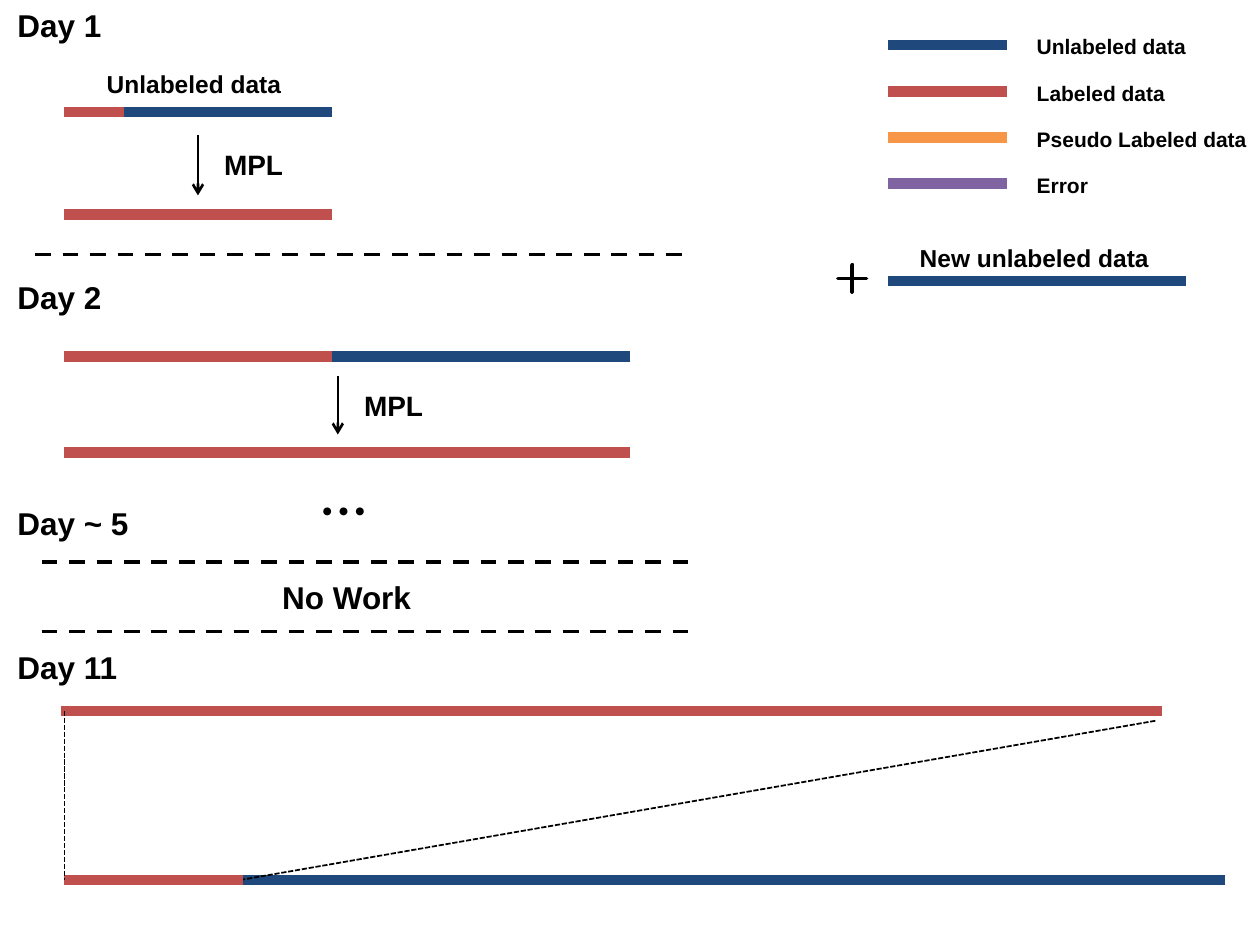
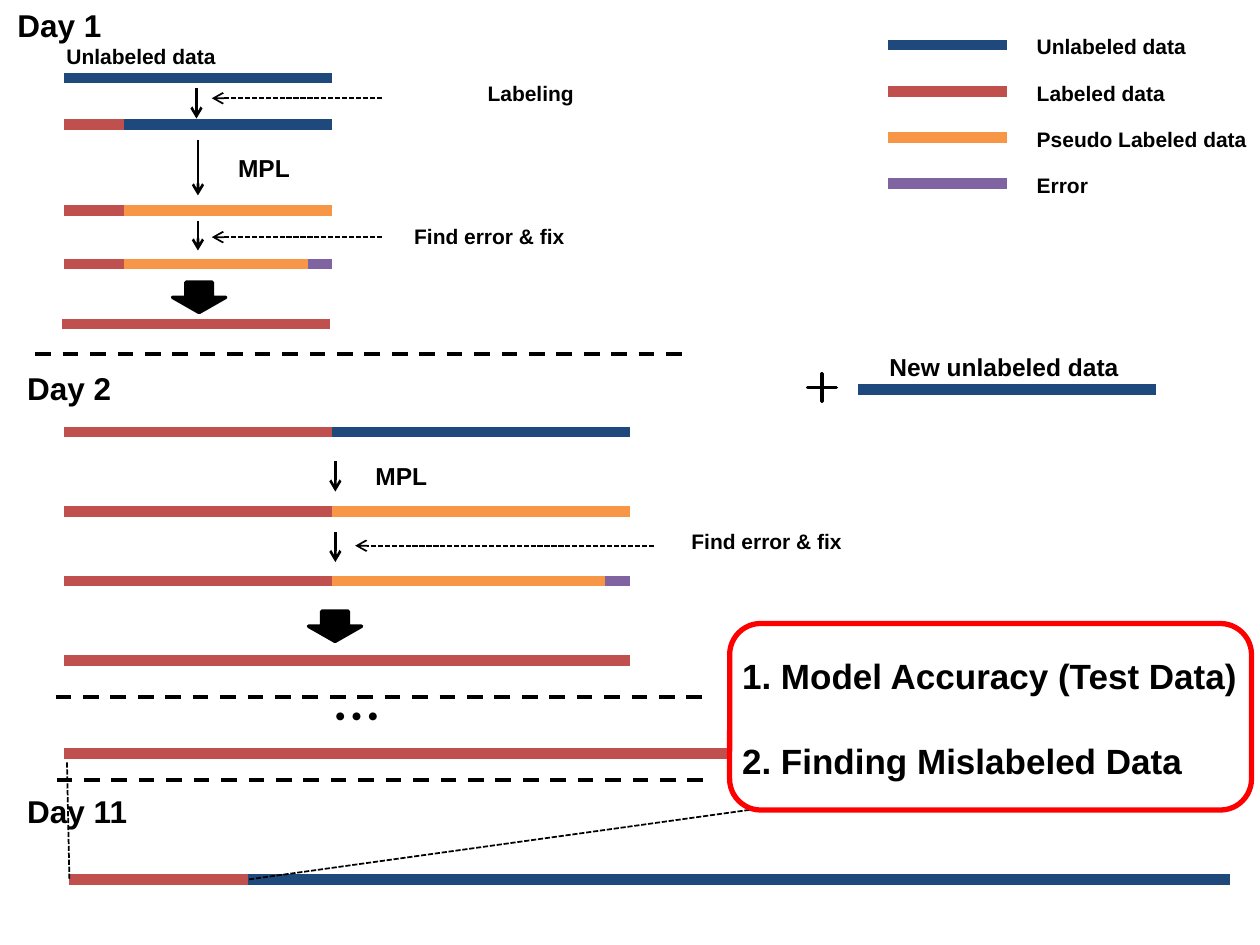
from lxml import etree
from pptx import Presentation
from pptx.dml.color import RGBColor
from pptx.enum.dml import MSO_LINE
from pptx.enum.shapes import MSO_CONNECTOR, MSO_SHAPE
from pptx.oxml.ns import qn
from pptx.util import Cm, Pt

STRAIGHT = MSO_CONNECTOR.STRAIGHT
PLUS, DOWN, ROUNDED = MSO_SHAPE.CROSS, MSO_SHAPE.DOWN_ARROW, MSO_SHAPE.ROUNDED_RECTANGLE
DASH, SYS_DASH = MSO_LINE.DASH, MSO_LINE.SQUARE_DOT


class Theme:
    unlabeled, labeled, pseudo, error = "1F497D", "C0504D", "F79646", "8064A2"
    ink, paper, accent = "000000", "FFFFFF", "FF0000"
    font, dots_font = "Arial", "Noto Sans CJK KR"
    dots, goal, day, step, label, note = 28, 20, 18, 16, 14, 12
    bar, divider, outline, arrow, guide = 6, 2.25, 2, 1.5, 1


T = Theme
U, L, P, E = T.unlabeled, T.labeled, T.pseudo, T.error
LEFT, SEED, DAY1, DAY2 = 1.3, 2.49, 6.7, 12.7  # where the data bars start and end
DIVIDER_LENGTH = 13.21

LEGEND = [("Unlabeled data", U), ("Labeled data", L),
          ("Pseudo Labeled data", P), ("Error", E)]

# All positions are in cm.
# bars: y, start, [(colour, end), ...]   dividers: x, y   arrows: x, top, bottom
# guides: from x, y to x, y   hints: from x to x, y   texts: text, x, y, size
SLIDES = [
    dict(
        bars=[
            (2.26, LEFT, [(L, SEED), (U, DAY1)]),
            (4.32, LEFT, [(L, DAY1)]),
            (7.19, LEFT, [(L, DAY1), (U, DAY2)]),
            (9.12, LEFT, [(L, DAY2)]),
            (14.33, 1.22, [(L, 23.42)]),
            (17.74, LEFT, [(L, 4.9), (U, 24.69)]),
        ],
        dividers=[(0.71, 5.13), (0.84, 11.33), (0.84, 12.73)],
        guides=[(23.29, 14.53, 4.9, 17.73), (LEFT, 14.33, LEFT, 17.73)],
        arrows=[(3.99, 2.72, 3.94), (6.81, 7.57, 8.76)],
        hints=[],
        block_arrows=[],
        new_data=(17.91, 5.66),
        texts=[
            ("Day 1", 0.1, 0, T.day),
            ("Unlabeled data", 1.9, 1.27, T.label),
            ("MPL", 4.27, 2.84, T.step),
            ("Day 2", 0.1, 5.49, T.day),
            ("MPL", 7.09, 7.7, T.step),
            ("…", 6.2, 9.58, T.dots),
            ("Day ~ 5", 0.1, 10.03, T.day),
            ("No Work", 5.44, 11.53, T.day),
            ("Day 11", 0.1, 12.93, T.day),
        ],
        goals=[],
    ),
    dict(
        bars=[
            (1.57, LEFT, [(U, DAY1)]),
            (2.51, LEFT, [(L, SEED), (U, DAY1)]),
            (4.24, LEFT, [(L, SEED), (P, DAY1)]),
            (5.32, LEFT, [(L, SEED), (P, 6.2), (E, DAY1)]),
            (6.53, 1.24, [(L, 6.65)]),
            (8.71, LEFT, [(L, DAY1), (U, DAY2)]),
            (10.31, LEFT, [(L, DAY1), (P, DAY2)]),
            (11.71, LEFT, [(L, DAY1), (P, 12.19), (E, DAY2)]),
            (13.31, LEFT, [(L, DAY2)]),
            (15.19, LEFT, [(L, 23.29)]),
            (17.73, 1.4, [(L, 5), (U, 24.79)]),
        ],
        dividers=[(0.71, 7.14), (1.12, 14.05), (1.14, 15.72)],
        guides=[(23.29, 15.19, 5, 17.73), (1.35, 15.37, 1.4, 17.73)],
        arrows=[(3.96, 1.78, 2.39), (3.99, 2.82, 3.94), (3.99, 4.45, 5.05),
                (6.76, 9.3, 9.91), (6.76, 10.72, 11.33)],
        hints=[(7.7, 4.27, 1.98), (7.7, 4.27, 4.78), (13.18, 7.16, 11)],
        block_arrows=[(3.48, 5.69), (6.22, 12.32)],
        new_data=(17.3, 7.85),
        texts=[
            ("Day 1", 0.1, 0, T.day),
            ("Unlabeled data", 1.09, 0.76, T.note),
            ("Labeling", 9.58, 1.5, T.note),
            ("MPL", 4.55, 2.97, T.label),
            ("Find error & fix", 8.1, 4.39, T.note),
            ("Day 2", 0.3, 7.32, T.day),
            ("MPL", 7.32, 9.17, T.label),
            ("Find error & fix", 13.69, 10.54, T.note),
            ("…", 6.45, 13.72, T.dots),
            ("Day 11", 0.3, 15.85, T.day),
        ],
        goals=["1. Model Accuracy (Test Data)", "2. Finding Mislabeled Data"],
    ),
]


def add_line(slide, x1, y1, x2, y2, width, color=T.ink, dash=None, head=False):
    sp = slide.shapes.add_connector(STRAIGHT, Cm(x1), Cm(y1), Cm(x2), Cm(y2))
    sp.line.color.rgb = RGBColor.from_string(color)
    sp.line.width = Pt(width)
    if dash:
        sp.line.dash_style = dash
    props = sp.element.spPr
    if head:
        etree.SubElement(props.find(qn("a:ln")), qn("a:tailEnd"), type="arrow")
    etree.SubElement(props, qn("a:effectLst"))


def add_bar(slide, y, start, segments):
    for color, end in segments:
        add_line(slide, start, y, end, y, T.bar, color)
        start = end


def add_shape(slide, kind, x, y, w, h, fill=T.ink, line=T.ink, width=T.outline):
    sp = slide.shapes.add_shape(kind, Cm(x), Cm(y), Cm(w), Cm(h))
    sp.shadow.inherit = False
    sp.fill.solid()
    sp.fill.fore_color.rgb = RGBColor.from_string(fill)
    sp.line.color.rgb = RGBColor.from_string(line)
    sp.line.width = Pt(width)
    return sp


def add_text(slide, text, x, y, size):
    """Add a bold one-line label in a box sized from its text."""
    w, h = len(text) * size * 0.018 + 1, size * 0.042 + 0.25
    tf = slide.shapes.add_textbox(Cm(x), Cm(y), Cm(w), Cm(h)).text_frame
    tf.word_wrap = True
    r = tf.paragraphs[0].add_run()
    r.text = text
    name = T.dots_font if size == T.dots else T.font
    for key, value in dict(name=name, size=Pt(size), bold=True).items():
        setattr(r.font, key, value)
    r.font.color.rgb = RGBColor.from_string(T.ink)
    etree.SubElement(r.font._element, qn("a:ea"), typeface=name)


def add_legend(slide):
    for i, (text, color) in enumerate(LEGEND):
        y = 0.91 + 0.93 * i
        add_bar(slide, y, 17.91, [(color, 20.29)])
        add_text(slide, text, 20.65, y - 0.35, T.note)


def add_new_data(slide, x, y):
    add_bar(slide, y, x, [(U, x + 6)])
    add_text(slide, "New unlabeled data", x + 0.38, y - 0.88, T.label)
    plus = add_shape(slide, PLUS, x - 1.02, y - 0.32, 0.58, 0.56)
    plus.adjustments[0] = 0.5


def add_goals(slide, goals):
    add_shape(slide, ROUNDED, 14.71, 12.57, 10.52, 3.76, T.paper, T.accent, 3)
    for i, goal in enumerate(goals):
        add_text(slide, goal, 14.71, 13.06 + 1.72 * i, T.goal)


def build_slide(prs, data):
    slide = prs.slides.add_slide(prs.slide_layouts[6])
    for bar in data["bars"]:
        add_bar(slide, *bar)
    for guide in data["guides"]:
        add_line(slide, *guide, T.guide, dash=SYS_DASH)
    for x, y in data["dividers"]:
        add_line(slide, x, y, x + DIVIDER_LENGTH, y, T.divider, dash=DASH)
    for x, top, bottom in data["arrows"]:
        add_line(slide, x, top, x, bottom, T.arrow, head=True)
    for start, end, y in data["hints"]:
        add_line(slide, start, y, end, y, T.guide, dash=SYS_DASH, head=True)
    for x, y in data["block_arrows"]:
        add_shape(slide, DOWN, x, y, 1.07, 0.61)
    add_legend(slide)
    add_new_data(slide, *data["new_data"])
    for text in data["texts"]:
        add_text(slide, *text)
    if data["goals"]:
        add_goals(slide, data["goals"])


def main():
    prs = Presentation()
    prs.slide_width, prs.slide_height = Cm(25.4), Cm(19.05)
    for data in SLIDES:
        build_slide(prs, data)
    prs.save("out.pptx")


if __name__ == "__main__":
    main()
